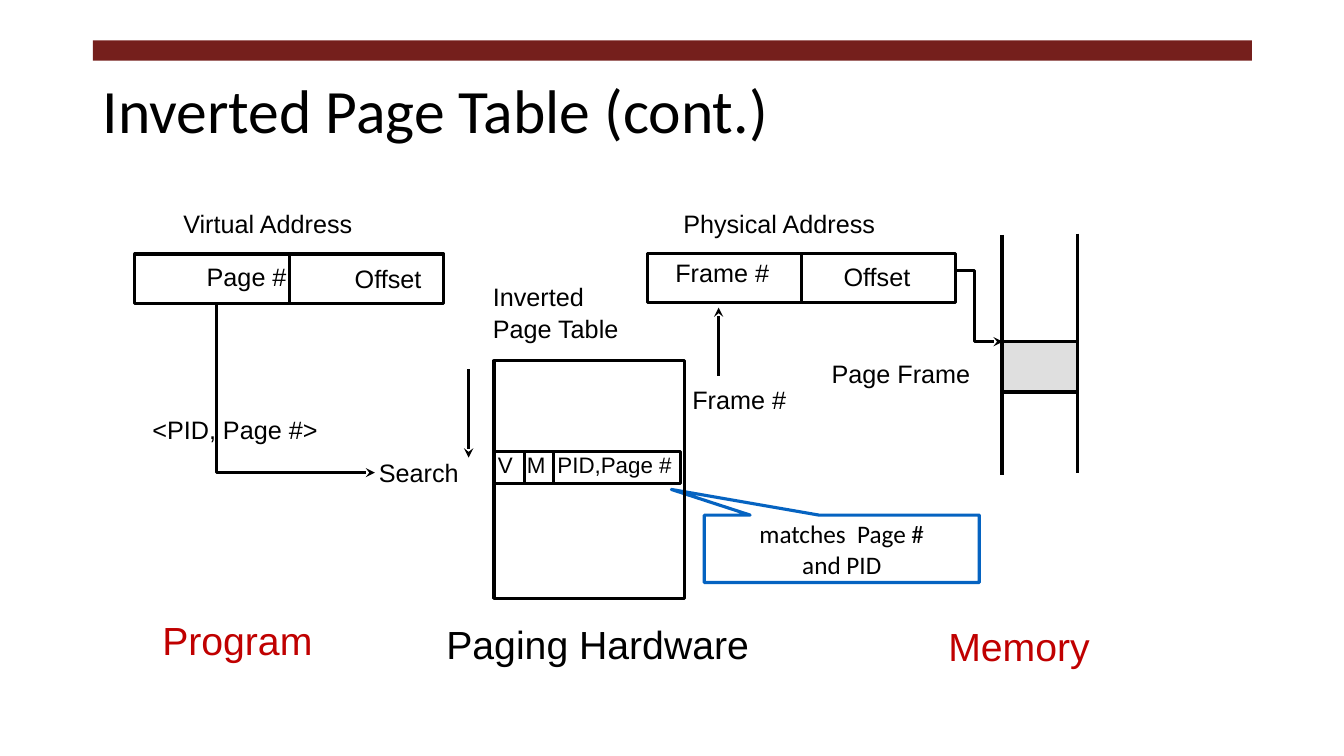
from dataclasses import dataclass
from itertools import accumulate

from lxml.etree import SubElement
from pptx import Presentation
from pptx.dml.color import RGBColor
from pptx.enum.shapes import MSO_CONNECTOR, MSO_SHAPE
from pptx.enum.text import MSO_ANCHOR, MSO_AUTO_SIZE, PP_ALIGN
from pptx.oxml.ns import qn
from pptx.util import Cm, Pt


@dataclass(frozen=True)
class Theme:
    ink: str = "000000"
    bar: str = "751F1C"
    accent: str = "C00000"
    callout: str = "0563C1"
    frame: str = "C0C0C0"
    heading_font: str = "Calibri"
    label_font: str = "Arial"
    title: int = 44
    caption: int = 28
    body: int = 18
    cell: int = 16
    line: float = 2.25
    gap: float = 0.9


T = Theme()


@dataclass(frozen=True)
class Box:
    x: float
    y: float
    w: float
    h: float
    fill: str = ""
    line: str = T.ink
    alpha: int = 100
    kind: MSO_SHAPE = MSO_SHAPE.RECTANGLE


@dataclass(frozen=True)
class Label:
    text: str
    x: float
    y: float
    w: float
    h: float = 0.76
    size: int = T.body
    color: str = T.ink


@dataclass(frozen=True)
class Line:
    points: tuple[tuple[float, float], ...]
    arrow: bool = True


def set_line(sp, color: str, arrow: bool = False) -> None:
    sp.line.color.rgb = RGBColor.from_string(color)
    sp.line.width = Pt(T.line)
    if arrow:
        SubElement(sp.line._get_or_add_ln(), qn("a:tailEnd"), type="stealth")


def draw_box(s, box: Box):
    sp = s.shapes.add_shape(box.kind, Cm(box.x), Cm(box.y), Cm(box.w), Cm(box.h))
    sp.shadow.inherit = False
    if box.fill:
        sp.fill.solid()
        sp.fill.fore_color.rgb = RGBColor.from_string(box.fill)
        if box.alpha < 100:
            clr = sp._element.spPr.find(".//" + qn("a:srgbClr"))
            SubElement(clr, qn("a:alpha"), val=str(box.alpha * 1000))
    else:
        sp.fill.background()
    if box.line:
        set_line(sp, box.line)
    else:
        sp.line.fill.background()
    return sp


def write(tf, text: str, font: str, size: int, color: str, align=PP_ALIGN.LEFT) -> None:
    tf.text = text
    for i, p in enumerate(tf.paragraphs):
        p.alignment = align
        if i:
            p.space_before = Pt(T.gap)
        for r in p.runs:
            r.font.name = font
            r.font.size = Pt(size)
            r.font.color.rgb = RGBColor.from_string(color)


def clear_insets(tf) -> None:
    tf.margin_left = tf.margin_right = tf.margin_top = tf.margin_bottom = 0


def draw_label(s, label: Label) -> None:
    tb = s.shapes.add_textbox(Cm(label.x), Cm(label.y), Cm(label.w), Cm(label.h))
    tf = tb.text_frame
    clear_insets(tf)
    tf.word_wrap = False
    tf.auto_size = MSO_AUTO_SIZE.SHAPE_TO_FIT_TEXT
    write(tf, label.text, T.label_font, label.size, label.color)


def draw_line(s, line: Line) -> None:
    pts = [(Cm(x), Cm(y)) for x, y in line.points]
    if len(pts) == 2:
        sp = s.shapes.add_connector(MSO_CONNECTOR.STRAIGHT, *pts[0], *pts[1])
        SubElement(sp._element.spPr, qn("a:effectLst"))
    else:
        fb = s.shapes.build_freeform(*pts[0])
        fb.add_line_segments(pts[1:], close=False)
        sp = fb.convert_to_shape()
        sp.shadow.inherit = False
        sp.fill.background()
    set_line(sp, T.ink, line.arrow)


def draw_title(s, text: str) -> None:
    draw_box(s, Box(2.34, 1.02, 29.21, 0.51, T.bar, ""))
    tf = s.shapes.add_textbox(Cm(2.34), Cm(1.02), Cm(29.21), Cm(3.68)).text_frame
    tf.word_wrap = True
    tf.vertical_anchor = MSO_ANCHOR.MIDDLE
    write(tf, text, T.heading_font, T.title, T.ink)
    tf.paragraphs[0].line_spacing = 0.9


def draw_callout(s, text: str) -> None:
    sp = draw_box(s, Box(17.75, 12.98, 6.93, 1.7, line=T.callout,
                         kind=MSO_SHAPE.RECTANGULAR_CALLOUT))
    sp.adjustments[0], sp.adjustments[1] = -0.62, -0.88
    tf = sp.text_frame
    clear_insets(tf)
    tf.word_wrap = True
    tf.vertical_anchor = MSO_ANCHOR.MIDDLE
    write(tf, text, T.heading_font, T.body, T.ink, PP_ALIGN.CENTER)


HALF = 3.89
ADDRESSES = [Box(x + i * HALF, y, HALF, 1.24)
             for x, y in ((3.4, 6.4), (16.31, 6.38)) for i in range(2)]
INVERTED_TABLE = Box(12.45, 9.09, 4.8, 5.99)
ENTRY_WIDTHS = (0.74, 0.74, 3.2)
ENTRY = [Box(x, 11.38, w, 0.81)
         for x, w in zip(accumulate(ENTRY_WIDTHS, initial=12.47), ENTRY_WIDTHS)]
PAGE_FRAME = Box(25.25, 8.61, 1.9, 1.27, T.frame, alpha=50)

LINES = [
    Line(((5.46, 7.65), (5.46, 11.91), (9.45, 11.91))),
    Line(((24.08, 6.81), (24.56, 6.81), (24.56, 8.61), (25.27, 8.61))),
    Line(((25.25, 5.92), (25.25, 11.96)), arrow=False),
    Line(((27.15, 5.89), (27.15, 11.91)), arrow=False),
    Line(((11.81, 9.3), (11.81, 11.53))),
    Line(((18.11, 9.47), (18.11, 7.75))),
]

LABELS = [
    Label("Virtual Address", 4.62, 5.26, 5.23, 0.84),
    Label("Page #", 5.21, 6.58, 2.03),
    Label("Offset", 8.94, 6.63, 1.7),
    Label("Physical Address", 17.22, 5.26, 5.56, 0.84),
    Label("Frame #", 17.02, 6.48, 2.39),
    Label("Offset", 21.26, 6.58, 1.7),
    Label("Inverted\nPage Table", 12.42, 7.09, 3.56, 1.73),
    Label("V", 12.55, 11.38, 0.38, 0.69, T.cell),
    Label("M", 13.28, 11.38, 0.48, 0.69, T.cell),
    Label("PID,Page #", 14.05, 11.38, 2.92, 0.69, T.cell),
    Label("<PID, Page #>", 3.84, 10.44, 4.19),
    Label("Search", 9.55, 11.53, 2.34, 0.84),
    Label("Frame #", 17.45, 9.68, 2.39),
    Label("Page Frame", 20.96, 9.02, 3.76, 0.84),
    Label("Program", 4.09, 15.52, 3.84, 1.19, T.caption, T.accent),
    Label("Paging Hardware", 11.25, 15.62, 7.7, 1.19, T.caption),
    Label("Memory", 23.9, 15.67, 3.68, 1.19, T.caption, T.accent),
]


def main() -> None:
    prs = Presentation()
    prs.slide_width, prs.slide_height = Cm(33.87), Cm(19.05)
    s = prs.slides.add_slide(prs.slide_layouts[6])
    draw_title(s, "Inverted Page Table (cont.)")
    draw_callout(s, "matches  Page #\nand PID")
    for box in (*ADDRESSES, INVERTED_TABLE, *ENTRY, PAGE_FRAME):
        draw_box(s, box)
    for line in LINES:
        draw_line(s, line)
    for label in LABELS:
        draw_label(s, label)
    prs.save("out.pptx")


if __name__ == "__main__":
    main()
